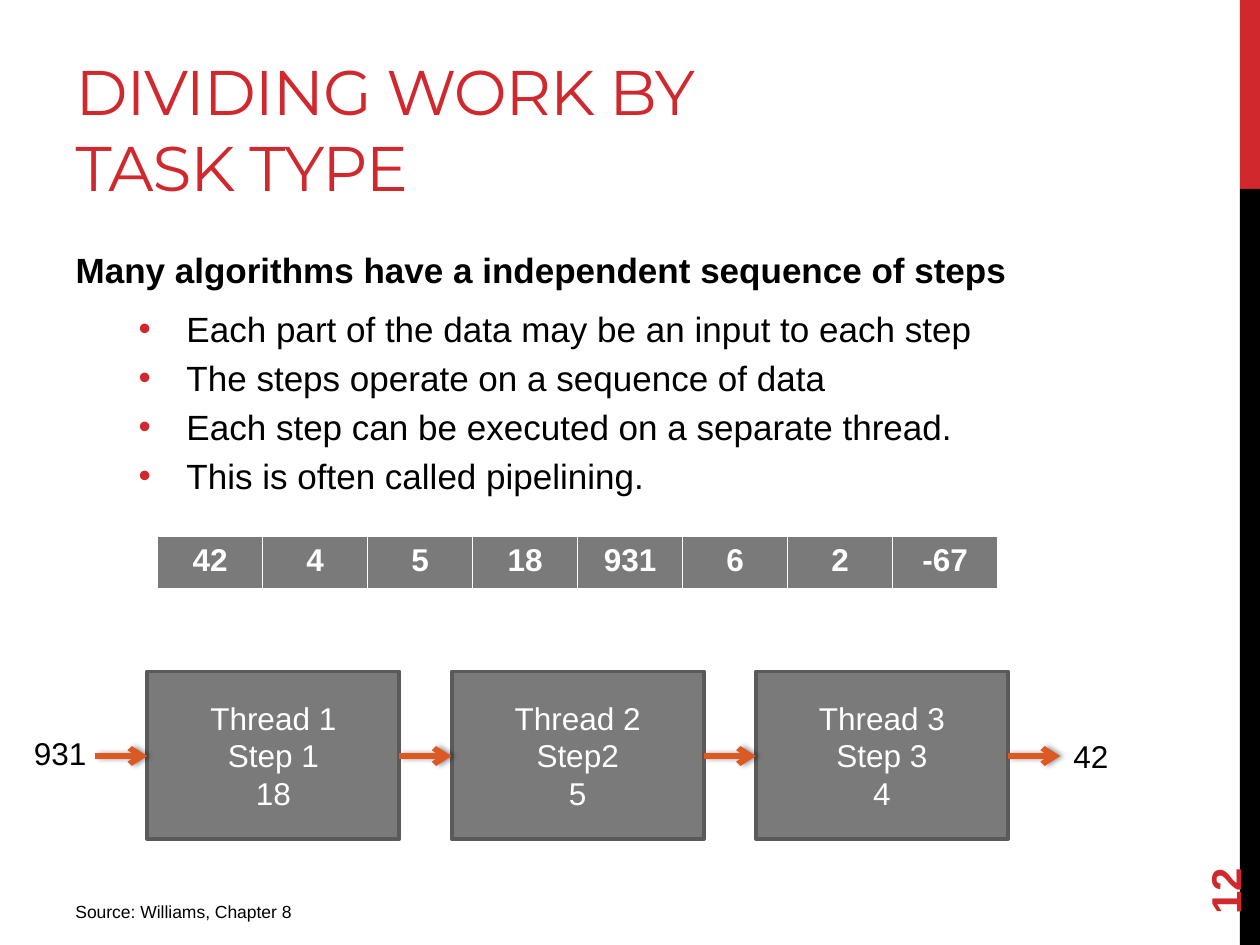
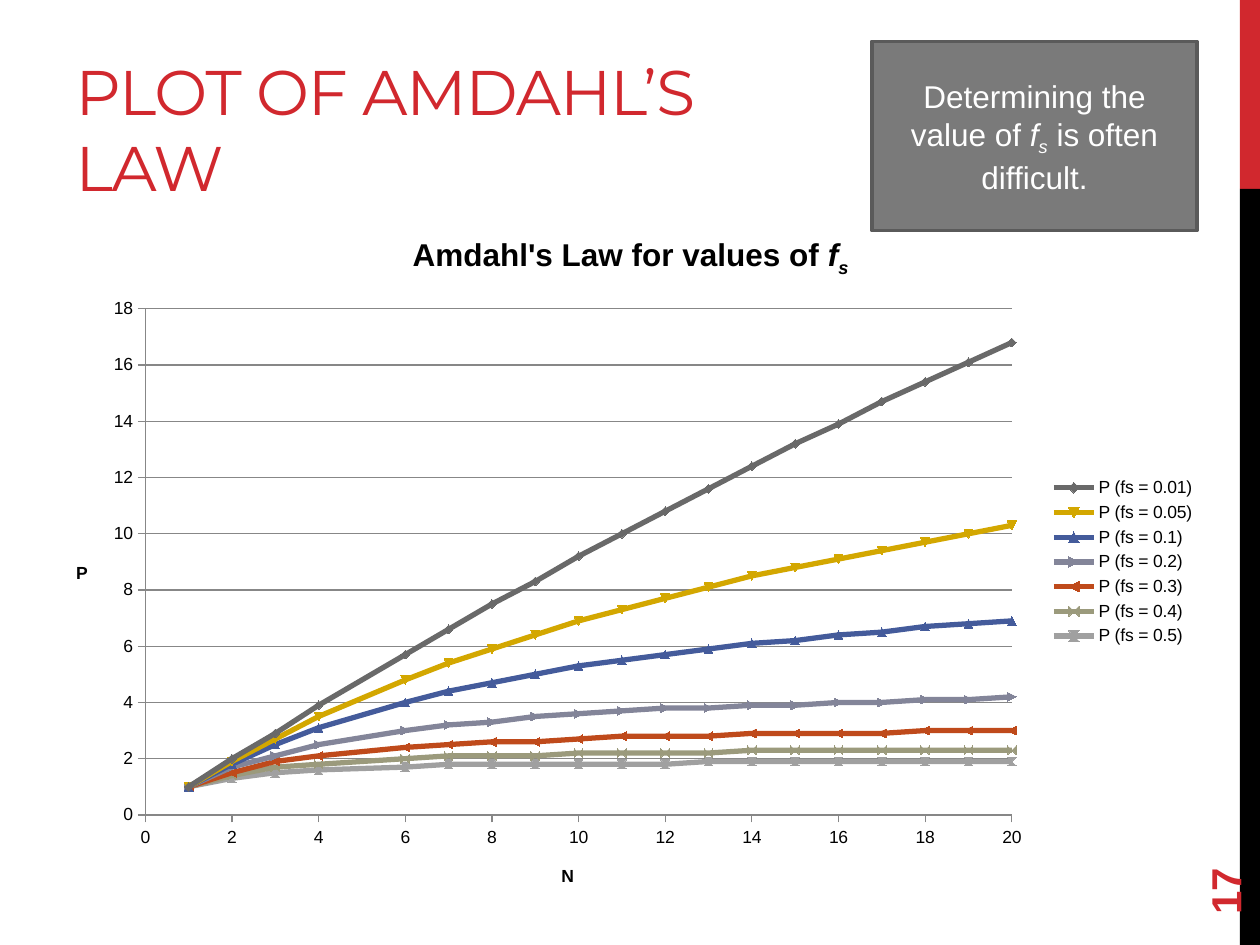
from dataclasses import dataclass

from lxml import etree
from pptx import Presentation
from pptx.chart.data import XyChartData
from pptx.dml.color import RGBColor
from pptx.enum.chart import XL_CHART_TYPE, XL_LEGEND_POSITION, XL_TICK_MARK
from pptx.enum.shapes import MSO_CONNECTOR, MSO_SHAPE
from pptx.enum.text import MSO_ANCHOR, MSO_AUTO_SIZE, PP_ALIGN
from pptx.oxml import parse_xml
from pptx.oxml.ns import nsdecls, qn
from pptx.util import Inches, Pt


@dataclass(frozen=True)
class Theme:
    red: str = "D1282E"
    black: str = "000000"
    white: str = "FFFFFF"
    gray: str = "7A7A7A"
    outline: str = "5A5A5A"
    orange: str = "DC5924"
    grid: str = "878787"
    curves: tuple = ("696969", "D3A700", "445B9B", "838599", "BF4A1B", "9B9A7C", "A0A0A0")
    heading_font: str = "Montserrat"
    text_font: str = "Arial"
    title: int = 36
    number: int = 24
    body: int = 20
    label: int = 18
    small: int = 10


theme = Theme()


def write(paragraph, text, size, color, bold=False, italic=False, font=theme.text_font, baseline=0):
    run = paragraph.add_run()
    run.text = text
    run.font.name = font
    run.font.size = Pt(size)
    run.font.bold = bold
    run.font.italic = italic
    run.font.color.rgb = RGBColor.from_string(color)
    if baseline:
        run.font._element.set("baseline", str(baseline * 1000))
    return run


def add_box(slide, left, top, width, height, fill=None, outline=None):
    area = [Inches(value) for value in (left, top, width, height)]
    if fill is None:
        box = slide.shapes.add_textbox(*area)
    else:
        box = slide.shapes.add_shape(MSO_SHAPE.RECTANGLE, *area)
        box.shadow.inherit = False
        box.fill.solid()
        box.fill.fore_color.rgb = RGBColor.from_string(fill)
        if outline:
            box.line.color.rgb = RGBColor.from_string(outline)
            box.line.width = Pt(2.25)
        else:
            box.line.fill.background()
    box.text_frame.word_wrap = True
    return box


deck = Presentation()
deck.slide_width, deck.slide_height = Inches(10), Inches(7.5)
pipeline = deck.slides.add_slide(deck.slide_layouts[1])
plot = deck.slides.add_slide(deck.slide_layouts[5])

for top, height, color in ((0, 1.5, theme.red), (1.5, 6, theme.black)):
    band = add_box(pipeline, 9.84, top, 0.16, height, color)
    deck.slide_master.shapes._spTree.append(band._element)

for slide, heading, page in (
    (pipeline, "DIVIDING WORK BY TASK TYPE", "12"),
    (plot, "PLOT OF AMDAHL’S LAW", "17"),
):
    title = slide.shapes.title
    title.left, title.top, title.width, title.height = map(Inches, (0.5, 0.17, 6.33, 1.5))
    title.text_frame.auto_size = MSO_AUTO_SIZE.NONE
    title.text_frame.vertical_anchor = MSO_ANCHOR.BOTTOM
    line = title.text_frame.paragraphs[0]
    line.alignment = PP_ALIGN.LEFT
    run = write(line, heading, theme.title, theme.red, font=theme.heading_font)
    run.font._element.set("spc", "-60")

    number = add_box(slide, 9, 6.44, 1.44, 0.4)
    number.rotation = 270
    number.text_frame.vertical_anchor = MSO_ANCHOR.MIDDLE
    write(number.text_frame.paragraphs[0], page, theme.number, theme.red, bold=True)

body = pipeline.placeholders[1]
body.left, body.top, body.width, body.height = map(Inches, (0.5, 1.92, 8.33, 4.78))
body.text_frame.auto_size = MSO_AUTO_SIZE.NONE
points = (
    "Many algorithms have a independent sequence of steps",
    "Each part of the data may be an input to each step",
    "The steps operate on a sequence of data",
    "Each step can be executed on a separate thread.",
    "This is often called pipelining.",
)
for index, point in enumerate(points):
    lead = index == 0
    line = body.text_frame.paragraphs[0] if lead else body.text_frame.add_paragraph()
    line.level = 0 if lead else 1
    line.space_before = Pt(4)
    line.space_after = Pt(6 if lead else 0)
    properties = line._p.get_or_add_pPr()
    properties.set("marL", str(Inches(0 if lead else 0.88)))
    properties.set("indent", str(Inches(0 if lead else -0.38)))
    if lead:
        etree.SubElement(properties, qn("a:buNone"))
    else:
        bullet_color = etree.SubElement(properties, qn("a:buClr"))
        etree.SubElement(bullet_color, qn("a:srgbClr"), val=theme.red)
        etree.SubElement(properties, qn("a:buFont"), typeface=theme.text_font)
        etree.SubElement(properties, qn("a:buChar"), char="•")
    write(line, point, theme.body, theme.black, bold=lead)

values = ("42", "4", "5", "18", "931", "6", "2", "-67")
data_row = pipeline.shapes.add_table(
    1, len(values), Inches(1.25), Inches(4.26), Inches(6.67), Inches(0.41)
).table
for cell, value in zip(data_row.rows[0].cells, values):
    cell.fill.solid()
    cell.fill.fore_color.rgb = RGBColor.from_string(theme.gray)
    line = cell.text_frame.paragraphs[0]
    line.alignment = PP_ALIGN.CENTER
    write(line, value, theme.label, theme.white, bold=True)

threads = (("Thread 1", "Step 1", "18"), ("Thread 2", "Step2", "5"), ("Thread 3", "Step 3", "4"))
thread_left, thread_width, gap = 1.17, 2, 0.415
pitch = thread_width + gap
for index, labels in enumerate(threads):
    thread = add_box(pipeline, thread_left + index * pitch, 5.33, thread_width, 1.33,
                     theme.gray, theme.outline)
    thread.text_frame.vertical_anchor = MSO_ANCHOR.MIDDLE
    for row, label in enumerate(labels):
        line = thread.text_frame.paragraphs[0] if row == 0 else thread.text_frame.add_paragraph()
        line.alignment = PP_ALIGN.CENTER
        write(line, label, theme.label, theme.white)

for index in range(len(threads) + 1):
    end = thread_left + index * pitch
    arrow = pipeline.shapes.add_connector(
        MSO_CONNECTOR.STRAIGHT, Inches(end - gap), Inches(6), Inches(end), Inches(6)
    )
    arrow.line.color.rgb = RGBColor.from_string(theme.orange)
    arrow.line.width = Pt(3.25)
    etree.SubElement(arrow.line._get_or_add_ln(), qn("a:tailEnd"), type="arrow")
    arrow._element.spPr.append(parse_xml(
        f'<a:effectLst {nsdecls("a")}><a:outerShdw blurRad="{Pt(3.1)}" dist="{Pt(1.8)}" dir="0">'
        f'<a:srgbClr val="{theme.black}"><a:alpha val="40000"/></a:srgbClr>'
        "</a:outerShdw></a:effectLst>"
    ))

for left, top, width, height, text, size in (
    (0.17, 5.78, 0.75, 0.4, "931", theme.label),
    (8.42, 5.8, 0.75, 0.4, "42", theme.label),
    (0.5, 7.1, 3.75, 0.31, "Source: Williams, Chapter 8", theme.small),
):
    caption = add_box(pipeline, left, top, width, height)
    write(caption.text_frame.paragraphs[0], text, size, theme.black)

processors = [n for n in range(1, 21) if n != 5]
speedups = XyChartData()
for fraction in (0.01, 0.05, 0.1, 0.2, 0.3, 0.4, 0.5):
    curve = speedups.add_series(f"P (fs = {fraction})")
    for n in processors:
        curve.add_data_point(n, round(1 / (fraction + (1 - fraction) / n), 1))
chart = plot.shapes.add_chart(
    XL_CHART_TYPE.XY_SCATTER_SMOOTH, Inches(0.42), Inches(1.67), Inches(9.17), Inches(5.58), speedups
).chart
chart.font.name = theme.text_font
chart.font.size = Pt(theme.small)
chart.font.color.rgb = RGBColor.from_string(theme.black)
chart.plots[0].vary_by_categories = False
chart.has_legend = True
chart.legend.position = XL_LEGEND_POSITION.RIGHT
chart.legend.include_in_layout = False

for index, (curve, color) in enumerate(zip(chart.plots[0].series, theme.curves), 1):
    curve.smooth = True
    curve._element.find(qn("c:idx")).set("val", str(index))
    curve.format.line.width = Pt(3)
    curve.format.line.color.rgb = RGBColor.from_string(color)
    curve.marker.size = 5
    curve.marker.format.fill.solid()
    curve.marker.format.fill.fore_color.rgb = RGBColor.from_string(color)

chart.has_title = True
line = chart.chart_title.text_frame.paragraphs[0]
write(line, "Amdahl's Law for values of ", theme.label, theme.black, bold=True)
write(line, "f", theme.label, theme.black, bold=True, italic=True)
write(line, "s", theme.label, theme.black, bold=True, italic=True, baseline=-25)

for axis, name, limit in ((chart.category_axis, "N", 20), (chart.value_axis, "P", 18)):
    axis.minimum_scale, axis.maximum_scale, axis.major_unit = 0, limit, 2
    axis.major_tick_mark = XL_TICK_MARK.OUTSIDE
    axis.minor_tick_mark = XL_TICK_MARK.NONE
    axis.has_major_gridlines = name == "P"
    axis.format.line.color.rgb = RGBColor.from_string(theme.grid)
    axis.has_title = True
    axis_label = axis.axis_title.text_frame
    axis_label._txBody.bodyPr.set("rot", "0")
    axis_label._txBody.bodyPr.set("vert", "horz")
    write(axis_label.paragraphs[0], name, theme.small, theme.black, bold=True)
chart.value_axis.major_gridlines.format.line.color.rgb = RGBColor.from_string(theme.grid)

plot_area = chart._chartSpace.chart.plotArea
for layout in plot_area.findall(qn("c:layout")):
    plot_area.remove(layout)
layout = etree.Element(qn("c:layout"))
plot_area.insert(0, layout)
manual = etree.SubElement(layout, qn("c:manualLayout"))
for key, value in (("layoutTarget", "inner"), ("xMode", "edge"), ("yMode", "edge"),
                   ("x", "0.08"), ("y", "0.14"), ("w", "0.75"), ("h", "0.72")):
    etree.SubElement(manual, qn(f"c:{key}"), val=value)

remark = add_box(plot, 6.92, 0.33, 2.58, 1.5, theme.gray, theme.outline)
remark.text_frame.vertical_anchor = MSO_ANCHOR.MIDDLE
line = remark.text_frame.paragraphs[0]
line.alignment = PP_ALIGN.CENTER
write(line, "Determining the value of ", theme.label, theme.white)
write(line, "f", theme.label, theme.white, italic=True)
write(line, "s", theme.label, theme.white, italic=True, baseline=-25)
write(line, " is often difficult.", theme.label, theme.white)

deck.save("out.pptx")
